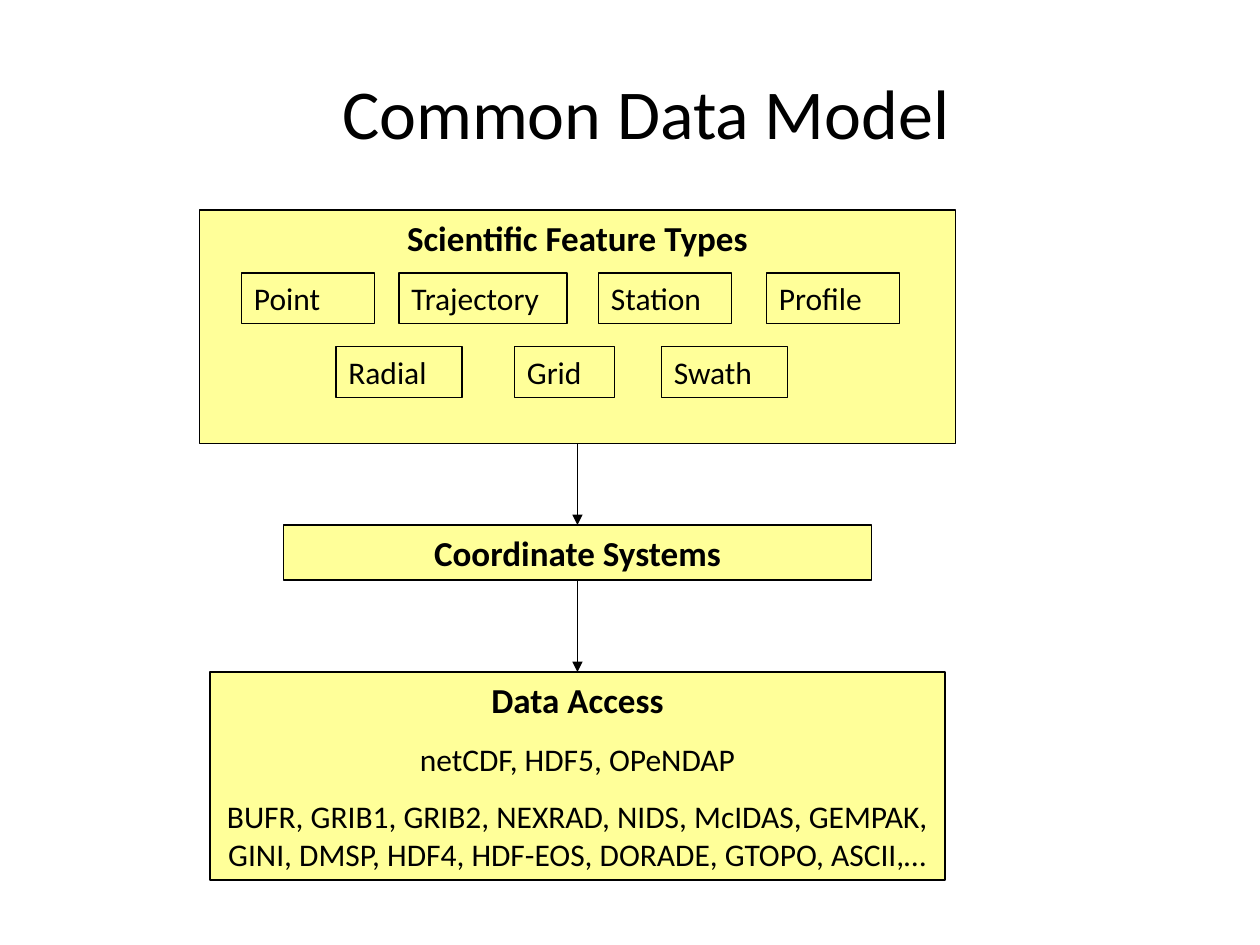
import pptx
import pptx.dml.color
import pptx.enum.shapes
import pptx.enum.text
import pptx.oxml
import pptx.oxml.ns
import pptx.util

Pt = pptx.util.Pt
ALIGN = pptx.enum.text.PP_ALIGN
FONT = "Calibri"
INK = "000000"
PALE_YELLOW = "FFFF99"
CENTER_X = 330
LINE_WIDTH = 0.75

FEATURE_ROWS = [
    (156, [("Point", 138, 76), ("Trajectory", 228, 96), ("Station", 342, 76), ("Profile", 438, 76)]),
    (198, [("Radial", 192, 72), ("Grid", 294, 57), ("Swath", 378, 72)]),
]
FEATURE_HEIGHT = 29


def color(value):
    """Turn a hex string into a colour."""
    return pptx.dml.color.RGBColor.from_string(value)


def style_paragraph(para, size, align, bold=False):
    """Set the alignment and font of a paragraph."""
    para.alignment = align
    para.font.name = FONT
    para.font.size = Pt(size)
    para.font.bold = bold
    para.font.color.rgb = color(INK)


def set_frame(frame):
    """Anchor text at the top and wrap it."""
    frame.word_wrap = True
    frame.auto_size = pptx.enum.text.MSO_AUTO_SIZE.NONE
    frame.vertical_anchor = pptx.enum.text.MSO_ANCHOR.TOP


def add_title(page, text):
    """Place and format the title placeholder."""
    title = page.shapes.title
    title.left, title.top, title.width, title.height = Pt(90), Pt(36), Pt(558), Pt(56)
    set_frame(title.text_frame)
    title.text_frame.text = text
    style_paragraph(title.text_frame.paragraphs[0], 40, ALIGN.CENTER)


def add_box(page, left, top, width, height, fill=None):
    """Add an outlined rectangle with an optional fill."""
    box = page.shapes.add_shape(
        pptx.enum.shapes.MSO_SHAPE.RECTANGLE, Pt(left), Pt(top), Pt(width), Pt(height))
    box.shadow.inherit = False
    if fill:
        box.fill.solid()
        box.fill.fore_color.rgb = color(fill)
    else:
        box.fill.background()
    box.line.color.rgb = color(INK)
    box.line.width = Pt(LINE_WIDTH)
    set_frame(box.text_frame)
    return box


def add_layer(page, top, width, height, heading, details=()):
    """Add a centred layer with a bold heading and detail paragraphs."""
    box = add_box(page, CENTER_X - width / 2, top, width, height, PALE_YELLOW)
    frame = box.text_frame
    frame.text = heading
    style_paragraph(frame.paragraphs[0], 20, ALIGN.CENTER, bold=True)
    for detail in details:
        para = frame.add_paragraph()
        para.text = detail
        para.space_before = Pt(11.2)
        style_paragraph(para, 18, ALIGN.CENTER)
    return box


def add_feature(page, name, left, top, width):
    """Add a small unfilled box that names a feature type."""
    box = add_box(page, left, top, width, FEATURE_HEIGHT)
    box.text_frame.text = name
    style_paragraph(box.text_frame.paragraphs[0], 18, ALIGN.LEFT)


def add_arrow(page, upper, lower):
    """Join the bottom of one layer to the top of the next."""
    arrow = page.shapes.add_connector(pptx.enum.shapes.MSO_CONNECTOR.STRAIGHT, 0, 0, 0, 0)
    arrow.begin_connect(upper, 2)
    arrow.end_connect(lower, 0)
    arrow.line.color.rgb = color(INK)
    arrow.line.width = Pt(LINE_WIDTH)
    namespace = pptx.oxml.ns.nsdecls("a")
    arrow.line._get_or_add_ln().append(
        pptx.oxml.parse_xml(f'<a:tailEnd {namespace} type="triangle"/>'))
    arrow._element.spPr.append(pptx.oxml.parse_xml(f"<a:effectLst {namespace}/>"))


def main():
    """Build the data model slide."""
    deck = pptx.Presentation()
    deck.slide_width, deck.slide_height = Pt(720), Pt(540)
    page = deck.slides.add_slide(deck.slide_layouts[5])
    add_title(page, "Common Data Model")

    features = add_layer(page, 120, 432, 133.5, "Scientific Feature Types")
    for top, row in FEATURE_ROWS:
        for name, left, width in row:
            add_feature(page, name, left, top, width)
    coordinates = add_layer(page, 300, 336, 31.5, "Coordinate Systems")
    access = add_layer(page, 384, 420, 118.8, "Data Access", [
        "netCDF, HDF5, OPeNDAP",
        "BUFR, GRIB1, GRIB2, NEXRAD, NIDS, McIDAS, GEMPAK, "
        "GINI, DMSP, HDF4, HDF-EOS, DORADE, GTOPO, ASCII,…",
    ])
    add_arrow(page, features, coordinates)
    add_arrow(page, coordinates, access)
    deck.save("out.pptx")


if __name__ == "__main__":
    main()
